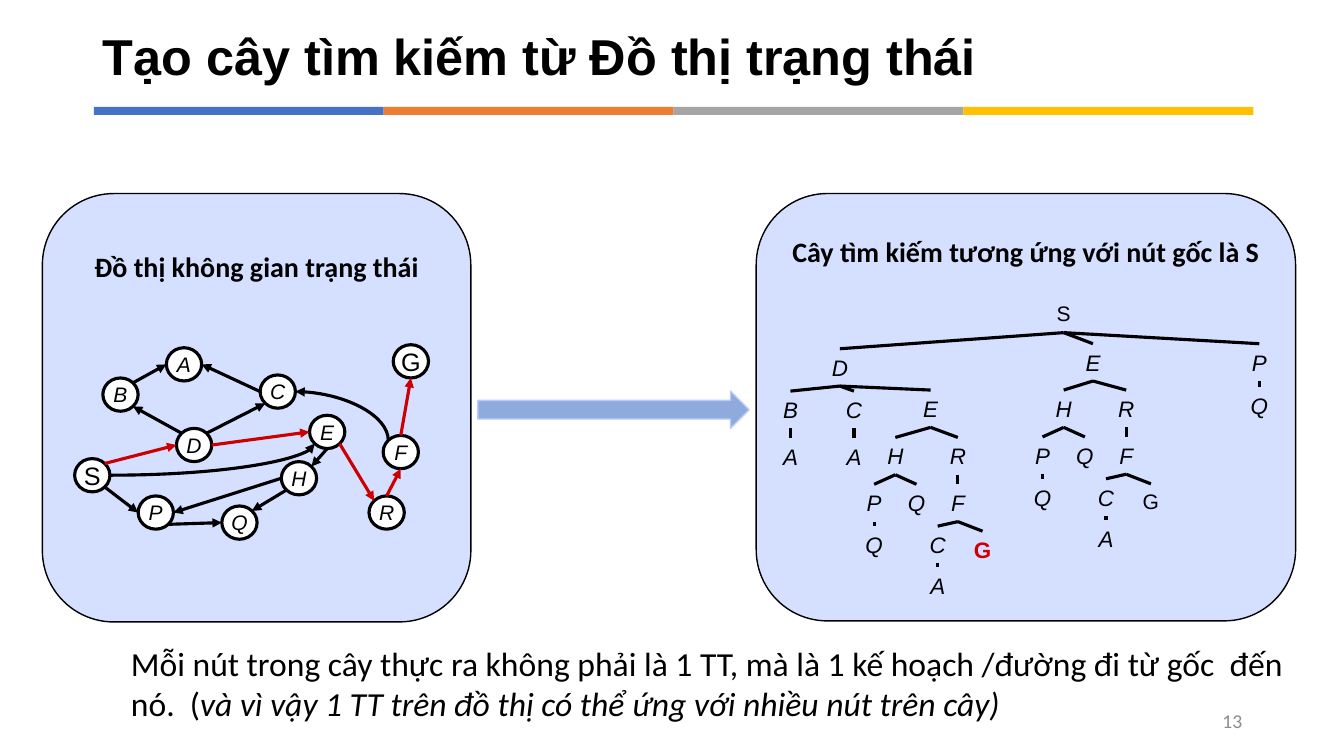
import pptx
import pptx.util
import pptx.dml.color
import pptx.enum.shapes
import pptx.enum.text
import pptx.oxml.ns
from lxml import etree

# Grid of the slide: 1333 columns by 750 rows
COLUMNS, ROWS = 1333, 750
WIDTH, HEIGHT = pptx.util.Inches(13.33), pptx.util.Inches(7.5)

SHAPES = pptx.enum.shapes.MSO_SHAPE
CONNECTORS = pptx.enum.shapes.MSO_CONNECTOR
ALIGN = pptx.enum.text.PP_ALIGN
ANCHOR = pptx.enum.text.MSO_ANCHOR

BLACK, WHITE, RED = "000000", "FFFFFF", "CC0000"
PANEL = "D5DFFF"
STRIPES = ["4472C4", "ED7D31", "A5A5A5", "FFC000"]
NODE_WIDTH, NODE_HEIGHT = 35, 33
LABEL_HEIGHT = 37

ITALIC = {"size": 16, "italic": True}
PLAIN = {"size": 15}
GOAL = {"size": 16, "bold": True, "color": RED}
HEADING = {"name": "Calibri", "size": 20, "bold": True}

# State graph: centre of each node
GRAPH_NODES = {
    "S": (91.5, 471.5), "G": (407.5, 358.5), "D": (192.5, 441.5),
    "B": (119.5, 391.5), "P": (154.5, 508.5), "Q": (237.5, 518.5),
    "C": (275.5, 388.5), "E": (324.5, 428.5), "H": (296.5, 474.5),
    "A": (182.5, 361.5), "F": (397.5, 448.5), "R": (383.5, 508.5),
}
# Edges: node and side at the start, node and side at the end
BLACK_EDGES = ["S SE P W", "P SE Q W", "H SW Q NE", "H W P E", "E S H NE",
               "D NW B SE", "B NE A W", "C W A E", "D NE C SW"]
RED_EDGES = ["E SE R NW", "R N F S", "F N G S", "S NE D W", "D E E W"]


def color_of(value):
    return pptx.dml.color.RGBColor.from_string(value)


def across(columns):
    return round(WIDTH * columns / COLUMNS)


def down(rows):
    return round(HEIGHT * rows / ROWS)


def area(left, top, width, height):
    return across(left), down(top), across(width), down(height)


def write(frame, spans, align=ALIGN.CENTER, anchor=ANCHOR.TOP, wrap=True):
    """Fill a text frame with one paragraph of (text, format) spans."""
    settings = {"word_wrap": wrap, "vertical_anchor": anchor,
                "auto_size": pptx.enum.text.MSO_AUTO_SIZE.NONE}
    for name, value in settings.items():
        setattr(frame, name, value)
    para = frame.paragraphs[0]
    para.alignment = align
    for text, style in spans:
        span = para.add_run()
        span.text = text
        values = {"name": "Arial", "color": BLACK, **style}
        span.font.color.rgb = color_of(values.pop("color"))
        values["size"] = pptx.util.Pt(values["size"])
        for name, value in values.items():
            setattr(span.font, name, value)


def add_text(page, place, spans, **layout):
    box = page.shapes.add_textbox(*area(*place))
    write(box.text_frame, spans, **layout)


def add_block(page, kind, place, fill, line=None, weight=1):
    block = page.shapes.add_shape(kind, *area(*place))
    block.shadow.inherit = False
    block.fill.solid()
    block.fill.fore_color.rgb = color_of(fill)
    if line:
        block.line.color.rgb = color_of(line)
        block.line.width = pptx.util.Pt(weight)
    else:
        block.line.fill.background()
    return block


def add_line(page, start, end, color=BLACK, arrow=None, curved=False):
    """Draw a line; arrow is the end that bears a head: headEnd or tailEnd."""
    kind = CONNECTORS.CURVE if curved else CONNECTORS.STRAIGHT
    line = page.shapes.add_connector(kind, across(start[0]), down(start[1]),
                                     across(end[0]), down(end[1]))
    line.line.color.rgb = color_of(color)
    line.line.width = pptx.util.Pt(2.25)
    properties = line._element.spPr
    qn = pptx.oxml.ns.qn
    if curved:
        properties.find(qn("a:prstGeom")).set("prst", "curvedConnector2")
    if arrow:
        etree.SubElement(properties.find(qn("a:ln")), qn("a:" + arrow), type="triangle")
    etree.SubElement(properties, qn("a:effectLst"))


def side_of(label, side):
    """Point on the rim of a graph node in a compass direction."""
    x, y = GRAPH_NODES[label]
    reach = 0.707 if len(side) == 2 else 1
    step_x = ("E" in side) - ("W" in side)
    step_y = ("S" in side) - ("N" in side)
    return (x + step_x * reach * NODE_WIDTH / 2, y + step_y * reach * NODE_HEIGHT / 2)


def draw_graph(page):
    for label, (x, y) in GRAPH_NODES.items():
        place = (x - NODE_WIDTH / 2, y - NODE_HEIGHT / 2, NODE_WIDTH, NODE_HEIGHT)
        node = add_block(page, SHAPES.FLOWCHART_CONNECTOR, place, WHITE, BLACK, 2.25)
        style = {"size": 18} if label in "SG" else {"size": 15, "italic": True}
        write(node.text_frame, [(label, style)], anchor=ANCHOR.MIDDLE, wrap=False)
    for color, edges in ((BLACK, BLACK_EDGES), (RED, RED_EDGES)):
        for edge in edges:
            source, leave, target, arrive = edge.split()
            add_line(page, side_of(source, leave), side_of(target, arrive), color, "tailEnd")
    add_line(page, side_of("C", "E"), side_of("F", "NW"), arrow="headEnd", curved=True)
    add_line(page, side_of("S", "E"), side_of("E", "SW"), arrow="tailEnd", curved=True)


def branch(label, x, top, *children, style=ITALIC):
    return label, x, top, children, style


def branches_of_e(x, top, goal_style):
    """The H and R branches below E, with H at the given place."""
    return (
        branch("H", x, top,
               branch("P", x - 21, top + 46.5, branch("Q", x - 21, top + 88)),
               branch("Q", x + 21, top + 46.5)),
        branch("R", x + 62, top,
               branch("F", x + 62, top + 46.5,
                      branch("C", x + 42, top + 88, branch("A", x + 42, top + 129)),
                      branch("G", x + 86.5, top + 93, style=goal_style))),
    )


def draw_tree(page, node):
    label, x, top, children, style = node
    place = (x - NODE_WIDTH / 2, top, NODE_WIDTH, LABEL_HEIGHT)
    add_text(page, place, [(label, style)], wrap=False)
    for child in children:
        add_line(page, (x, top + LABEL_HEIGHT), child[1:3])
        draw_tree(page, child)


def draw_title(page):
    title = page.shapes.title
    title.left, title.top, title.width, title.height = area(92, 23, 1150, 71)
    write(title.text_frame, [("Tạo cây tìm kiếm từ Đồ thị trạng thái", {"size": 36, "bold": True})],
          align=ALIGN.LEFT, anchor=ANCHOR.MIDDLE)
    title.text_frame.paragraphs[0].line_spacing = 0.9
    for index, color in enumerate(STRIPES):
        add_block(page, SHAPES.RECTANGLE, (93 + 287.5 * index, 106, 287.5, 8), color)


def main():
    deck = pptx.Presentation()
    deck.slide_width, deck.slide_height = WIDTH, HEIGHT
    page = deck.slides.add_slide(deck.slide_layouts[5])
    draw_title(page)

    # Panels with their headings and the arrow between them
    add_block(page, SHAPES.ROUNDED_RECTANGLE, (750, 192, 535, 424), PANEL, BLACK)
    add_block(page, SHAPES.ROUNDED_RECTANGLE, (42, 192, 425, 425), PANEL, BLACK)
    add_block(page, SHAPES.RIGHT_ARROW, (474, 388, 269, 37), "8FAADC", "B9CAFF")
    add_text(page, (67, 243, 375, 44), [("Đồ thị không gian trạng thái", HEADING)])
    add_text(page, (751, 228, 533, 44), [("Cây tìm kiếm tương ứng với nút gốc là S", HEADING)])

    # State graph and search tree
    draw_graph(page)
    draw_tree(page, branch(
        "S", 1055, 293,
        branch("D", 833, 346,
               branch("B", 784, 388, branch("A", 784, 435)),
               branch("C", 847, 388, branch("A", 847, 435)),
               branch("E", 923, 387, *branches_of_e(888, 434, GOAL))),
        branch("E", 1084, 341, *branches_of_e(1055, 387, PLAIN)),
        branch("P", 1249, 341, branch("Q", 1249, 384)),
        style=PLAIN))

    # Remark and page number
    remark = {"name": "Calibri", "size": 24}
    add_text(page, (120, 633, 1165, 91), [
        ("Mỗi nút trong cây thực ra không phải là 1 TT, mà là 1 kế hoạch /đường đi từ gốc  đến nó.  (",
         remark),
        ("và vì vậy 1 TT trên đồ thị có thể ứng với nhiều nút trên cây)", {**remark, "italic": True}),
    ], align=ALIGN.LEFT)
    add_text(page, (942, 695, 300, 40), [("13", {"name": "Calibri", "size": 14, "color": "8C8C8C"})],
             align=ALIGN.RIGHT, anchor=ANCHOR.MIDDLE)
    deck.save("out.pptx")


if __name__ == "__main__":
    main()
